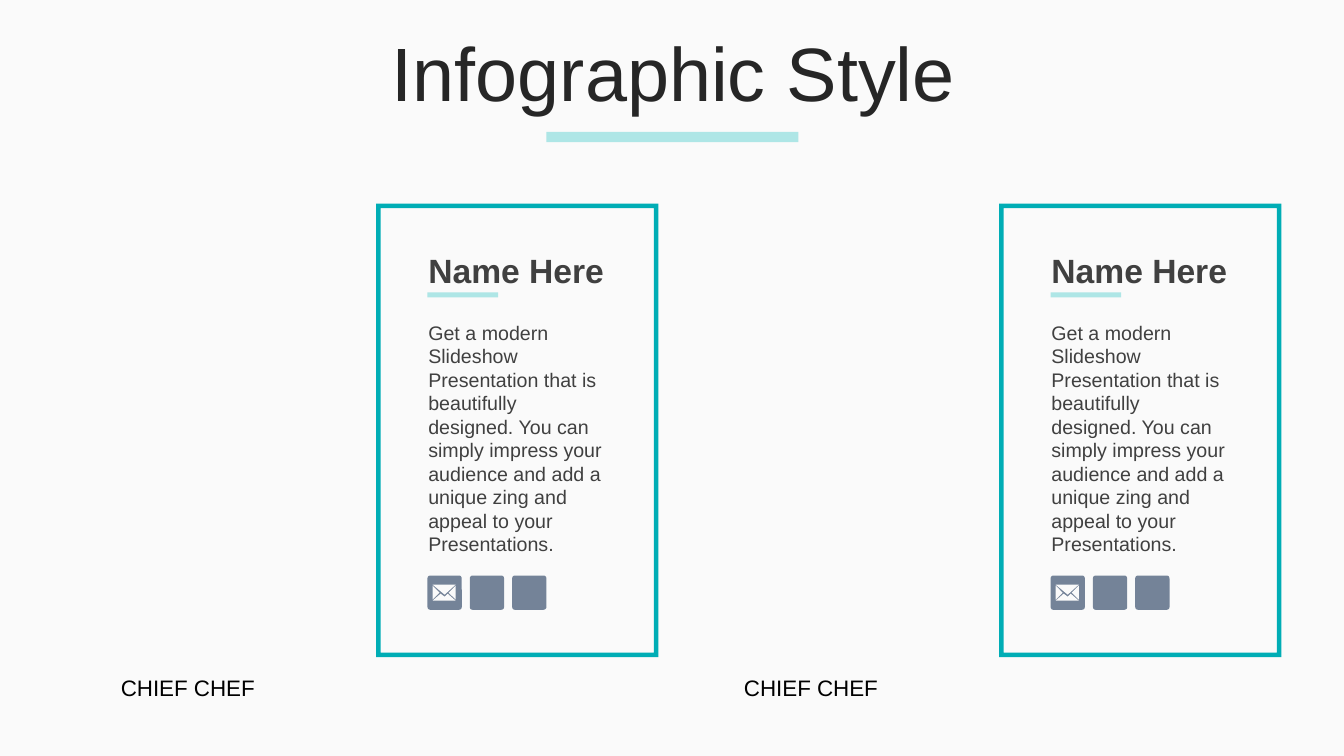
import pptx
import pptx.util
from pptx.dml.color import RGBColor
from pptx.enum.shapes import MSO_SHAPE
from pptx.enum.text import MSO_ANCHOR, MSO_AUTO_SIZE, PP_ALIGN
from pptx.util import Inches

BACKGROUND = RGBColor(0xFA, 0xFA, 0xFA)
TITLE_COLOR = RGBColor(0x26, 0x26, 0x26)
TEXT_COLOR = RGBColor(0x40, 0x40, 0x40)
BLACK = RGBColor(0x00, 0x00, 0x00)
TEAL = RGBColor(0x00, 0xAD, 0xB5)
PALE_TEAL = RGBColor(0xAE, 0xE6, 0xE6)
SLATE = RGBColor(0x74, 0x83, 0x98)

CARD_LEFTS = (3.73, 9.91)
ICON_SIZE = 0.34
ICON_PITCH = 0.42
DESCRIPTION = (
    "Get a modern Slideshow Presentation that is beautifully designed. "
    "You can simply impress your audience and add a unique zing and "
    "appeal to your Presentations."
)
# Outlines in hundredths of an inch from the icon's corner
ENVELOPE_PARTS = (
    ((5, 9), (17, 19), (28, 9)),
    ((5, 10), (5, 24), (12, 17)),
    ((28, 10), (28, 24), (21, 17)),
    ((20, 18), (17, 21), (13, 18), (5, 25), (28, 25)),
)


def write_text(shape, text, *, size, color, bold=False, font="Arial",
               align=PP_ALIGN.LEFT, anchor=MSO_ANCHOR.MIDDLE, line_spacing=None):
    frame = shape.text_frame
    frame.word_wrap = True
    frame.auto_size = MSO_AUTO_SIZE.NONE
    frame.vertical_anchor = anchor
    paragraph = frame.paragraphs[0]
    paragraph.alignment = align
    if line_spacing:
        paragraph.line_spacing = line_spacing
    run = paragraph.add_run()
    run.text = text
    run.font.name = font
    run.font.size = pptx.util.Pt(size)
    run.font.bold = bold
    run.font.color.rgb = color


class SlideBuilder:
    def __init__(self, presentation):
        self.slide = presentation.slides.add_slide(presentation.slide_layouts[5])
        self.slide.background.fill.solid()
        self.slide.background.fill.fore_color.rgb = BACKGROUND

    def paint(self, shape, color):
        shape.shadow.inherit = False
        shape.fill.solid()
        shape.fill.fore_color.rgb = color
        shape.line.fill.background()

    def title(self, text, left, top, width, height):
        title = self.slide.shapes.title
        title.left, title.top = Inches(left), Inches(top)
        title.width, title.height = Inches(width), Inches(height)
        write_text(title, text, size=54, color=TITLE_COLOR,
                   align=PP_ALIGN.CENTER, line_spacing=0.9)

    def text(self, text, left, top, width, height, **style):
        box = self.slide.shapes.add_textbox(
            Inches(left), Inches(top), Inches(width), Inches(height))
        write_text(box, text, **style)

    def block(self, left, top, width, height, color,
              kind=MSO_SHAPE.RECTANGLE, adjustment=None):
        shape = self.slide.shapes.add_shape(
            kind, Inches(left), Inches(top), Inches(width), Inches(height))
        if adjustment is not None:
            shape.adjustments[0] = adjustment
        self.paint(shape, color)

    def envelope(self, left, top):
        first, *others = ENVELOPE_PARTS
        builder = self.slide.shapes.build_freeform(*first[0], scale=Inches(0.01))
        builder.add_line_segments(first[1:], close=True)
        for part in others:
            builder.move_to(*part[0])
            builder.add_line_segments(part[1:], close=True)
        self.paint(builder.convert_to_shape(Inches(left), Inches(top)), BACKGROUND)

    def card(self, left):
        """Draw a framed profile with its name, description, icons and role."""
        text_left = left + 0.42
        mark_left = left + 0.51
        icon_top = 5.71
        self.text("CHIEF CHEF", left - 2.63, 6.7, 1.89, 0.25,
                  size=16, color=BLACK, align=PP_ALIGN.JUSTIFY)
        self.text("Name Here", text_left, 2.5, 1.97, 0.35,
                  size=24, color=TEXT_COLOR, bold=True)
        self.block(mark_left, 2.9, 0.7, 0.05, PALE_TEAL)
        self.text(DESCRIPTION, text_left, 3.13, 1.97, 2.46,
                  size=14, color=TEXT_COLOR, anchor=MSO_ANCHOR.TOP)
        for index in range(3):
            self.block(mark_left + index * ICON_PITCH, icon_top, ICON_SIZE, ICON_SIZE,
                       SLATE, MSO_SHAPE.ROUNDED_RECTANGLE, 0.08)
        self.envelope(mark_left, icon_top)
        self.block(left, 2.02, 2.8, 4.5, TEAL, MSO_SHAPE.FRAME, 0.016)


def main():
    presentation = pptx.Presentation()
    presentation.slide_width = Inches(13.33)
    presentation.slide_height = Inches(7.5)
    builder = SlideBuilder(presentation)
    builder.block(5.42, 1.31, 2.5, 0.1, PALE_TEAL)
    builder.title("Infographic Style", 0.35, 0.37, 12.66, 0.79)
    for left in CARD_LEFTS:
        builder.card(left)
    presentation.save("out.pptx")


if __name__ == "__main__":
    main()
